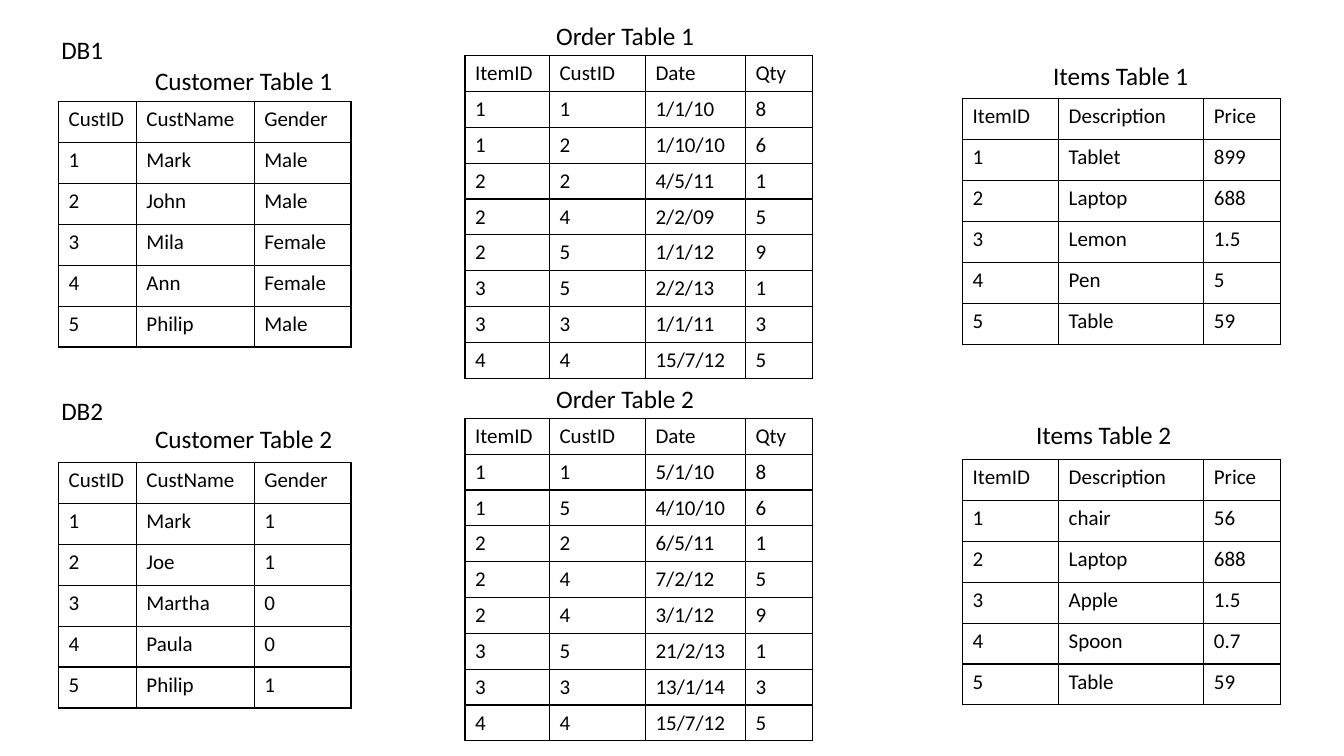
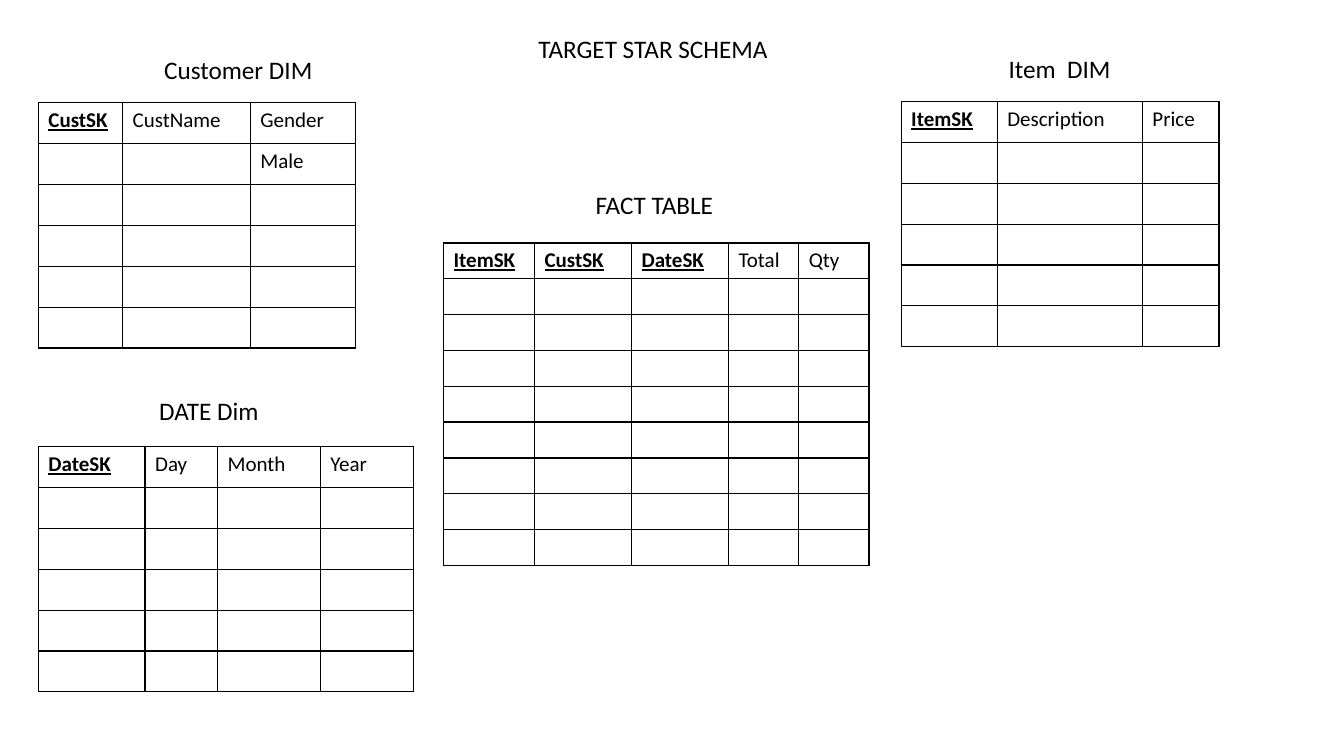
from lxml import etree
from pptx import Presentation
from pptx.dml.color import RGBColor
from pptx.enum import text as t
from pptx.oxml.ns import qn
from pptx.util import Pt

FONT = "Calibri"
BLACK = "000000"
LABEL_SIZE, CELL_SIZE = 18, 15
LABEL_HEIGHT = 29
TALL_ROW, SHORT_ROW = 29.2, 25.3
CUSTOMER_COLUMNS = [55.6, 84.2, 69.1]
ITEM_COLUMNS = [68.6, 103.7, 54.7]
ORDER_COLUMNS = [60.3, 68.6, 71.4, 48.2]
CUSTOMER_HEAD = ["CustID", "CustName", "Gender"]
ITEM_HEAD = ["ItemID", "Description", "Price"]
ORDER_HEAD = ["ItemID", "CustID", "Date", "Qty"]


def fill_label(box, words, left, top, width, align=t.PP_ALIGN.LEFT):
    """Place a text box or title placeholder and set its text."""
    box.left, box.top = Pt(left), Pt(top)
    box.width, box.height = Pt(width), Pt(LABEL_HEIGHT)
    frame = box.text_frame
    frame.text = words
    frame.word_wrap = True
    frame.auto_size = t.MSO_AUTO_SIZE.NONE
    frame.vertical_anchor = t.MSO_ANCHOR.TOP
    para = frame.paragraphs[0]
    para.alignment = align
    font = para.runs[0].font
    font.name, font.size = FONT, Pt(LABEL_SIZE)
    font.color.rgb = RGBColor.from_string(BLACK)


def add_grid(slide, left, top, widths, row_height, rows):
    """Add a black-ruled table; headings that end in SK are marked as keys."""
    table = slide.shapes.add_table(
        len(rows), len(widths), Pt(left), Pt(top),
        Pt(sum(widths)), Pt(row_height * len(rows))).table
    table.first_row = table.horz_banding = False
    for column, width in zip(table.columns, widths):
        column.width = Pt(width)
    for row, values in zip(table.rows, rows):
        row.height = Pt(row_height)
        for cell, value in zip(row.cells, values):
            cell.text = value
            para = cell.text_frame.paragraphs[0]
            for span in para.runs:
                font = span.font
                font.name, font.size = FONT, Pt(CELL_SIZE)
                font.color.rgb = RGBColor.from_string(BLACK)
                font.bold = font.underline = value.endswith("SK")
            if not value:
                etree.SubElement(para._p, qn("a:endParaRPr"), sz=str(CELL_SIZE * 100))
            properties = cell._tc.get_or_add_tcPr()
            for side in ("lnL", "lnR", "lnT", "lnB"):
                line = etree.SubElement(properties, qn("a:" + side), w=str(Pt(1)))
                fill = etree.SubElement(line, qn("a:solidFill"))
                etree.SubElement(fill, qn("a:srgbClr"), val=BLACK)
            cell.fill.background()


deck = Presentation()
deck.slide_width, deck.slide_height = Pt(960), Pt(540)
title_only, blank = deck.slide_layouts[5], deck.slide_layouts[6]

# Source databases
sources = deck.slides.add_slide(blank)
source_labels = [
    ("DB1", 36.7, 20.9, 225),
    ("Customer Table 1", 103.7, 43.2, 225),
    ("Order Table 1", 390.2, 10.8, 125),
    ("Items Table 1", 745.2, 39.6, 113),
    ("DB2", 36.7, 278.6, 225),
    ("Customer Table 2", 103.7, 298.8, 225),
    ("Order Table 2", 390.2, 270, 125),
    ("Items Table 2", 733, 295.9, 113),
]
for words, left, top, width in source_labels:
    fill_label(sources.shapes.add_textbox(0, 0, 0, 0), words, left, top, width)

customers = [
    (72.7, ["1 Mark Male", "2 John Male", "3 Mila Female", "4 Ann Female", "5 Philip Male"]),
    (330.5, ["1 Mark 1", "2 Joe 1", "3 Martha 0", "4 Paula 0", "5 Philip 1"]),
]
items = [
    (70.6, ["1 Tablet 899", "2 Laptop 688", "3 Lemon 1.5", "4 Pen 5", "5 Table 59"]),
    (328.3, ["1 chair 56", "2 Laptop 688", "3 Apple 1.5", "4 Spoon 0.7", "5 Table 59"]),
]
orders = [
    (39.8, ["1 1 1/1/10 8", "1 2 1/10/10 6", "2 2 4/5/11 1", "2 4 2/2/09 5",
            "2 5 1/1/12 9", "3 5 2/2/13 1", "3 3 1/1/11 3", "4 4 15/7/12 5"]),
    (298.8, ["1 1 5/1/10 8", "1 5 4/10/10 6", "2 2 6/5/11 1", "2 4 7/2/12 5",
             "2 4 3/1/12 9", "3 5 21/2/13 1", "3 3 13/1/14 3", "4 4 15/7/12 5"]),
]
for left, widths, row_height, head, tables in [
    (41.8, CUSTOMER_COLUMNS, TALL_ROW, CUSTOMER_HEAD, customers),
    (687.6, ITEM_COLUMNS, TALL_ROW, ITEM_HEAD, items),
    (332.2, ORDER_COLUMNS, SHORT_ROW, ORDER_HEAD, orders),
]:
    for top, records in tables:
        rows = [head] + [record.split() for record in records]
        add_grid(sources, left, top, widths, row_height, rows)

# Target star schema
schema = deck.slides.add_slide(title_only)
fill_label(schema.shapes.title, "TARGET STAR SCHEMA", 377.3, 20.2, 188)
schema_labels = [
    ("Customer DIM", 110.2, 35.3, 130, t.PP_ALIGN.LEFT),
    ("DATE Dim", 36.7, 278.6, 225, t.PP_ALIGN.CENTER),
    ("FACT TABLE", 418.3, 131.8, 109, t.PP_ALIGN.LEFT),
    ("Item  DIM", 691.9, 34.6, 130, t.PP_ALIGN.CENTER),
]
for words, left, top, width, align in schema_labels:
    fill_label(schema.shapes.add_textbox(0, 0, 0, 0), words, left, top, width, align)

for left, top, widths, row_height, head, first_record, row_count in [
    (27.4, 73.4, [60.2, 91.2, 75.2], TALL_ROW,
     ["CustSK", "CustName", "Gender"], ["", "", "Male"], 6),
    (643.7, 72.5, ITEM_COLUMNS, TALL_ROW,
     ["ItemSK", "Description", "Price"], [""] * 3, 6),
    (316.8, 173.5, [65, 69.3, 69.3, 50.2, 50.2], SHORT_ROW,
     ["ItemSK", "CustSK", "DateSK", "Total", "Qty"], [""] * 5, 9),
    (27.4, 319, [76.2, 51.8, 73.4, 66.4], TALL_ROW,
     ["DateSK", "Day", "Month", "Year"], [""] * 4, 6),
]:
    rows = [head, first_record] + [[""] * len(head)] * (row_count - 2)
    add_grid(schema, left, top, widths, row_height, rows)

deck.save("out.pptx")
